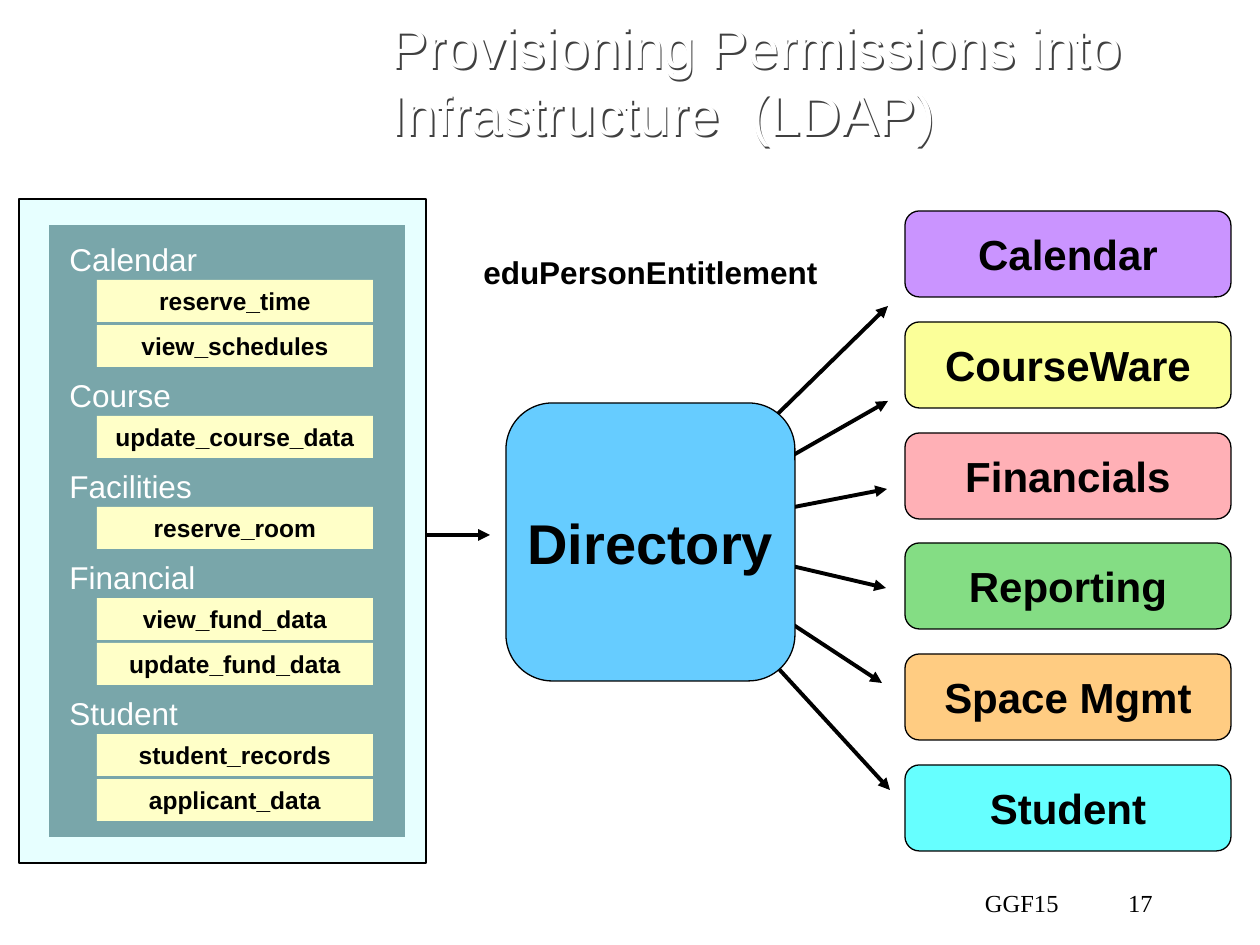
from lxml import etree
from pptx import Presentation
from pptx.dml.color import RGBColor
from pptx.enum.shapes import MSO_CONNECTOR, MSO_SHAPE
from pptx.enum.text import MSO_ANCHOR, PP_ALIGN
from pptx.oxml import parse_xml
from pptx.oxml.ns import nsdecls, qn
from pptx.util import Emu, Pt

RECT, ROUND = MSO_SHAPE.RECTANGLE, MSO_SHAPE.ROUNDED_RECTANGLE
STRAIGHT = MSO_CONNECTOR.STRAIGHT
LEFT, CENTER, RIGHT = PP_ALIGN.LEFT, PP_ALIGN.CENTER, PP_ALIGN.RIGHT
TOP, MIDDLE, BOTTOM = MSO_ANCHOR.TOP, MSO_ANCHOR.MIDDLE, MSO_ANCHOR.BOTTOM

BLACK = RGBColor(0x00, 0x00, 0x00)
WHITE = RGBColor(0xFF, 0xFF, 0xFF)
SHADOW_GREY = RGBColor(0x40, 0x40, 0x40)
PALE_CYAN = RGBColor(0xE7, 0xFF, 0xFF)
TEAL = RGBColor(0x79, 0xA6, 0xAA)
CREAM = RGBColor(0xFF, 0xFF, 0xC8)
BLUE = RGBColor(0x66, 0xCC, 0xFF)

PERMISSIONS = [
    ("Calendar", ["reserve_time", "view_schedules"]),
    ("Course", ["update_course_data"]),
    ("Facilities", ["reserve_room"]),
    ("Financial", ["view_fund_data", "update_fund_data"]),
    ("Student", ["student_records", "applicant_data"]),
]
APPLICATIONS = [
    ("Calendar", RGBColor(0xCA, 0x94, 0xFF)),
    ("CourseWare", RGBColor(0xFB, 0xFF, 0x99)),
    ("Financials", RGBColor(0xFF, 0xB0, 0xB6)),
    ("Reporting", RGBColor(0x84, 0xDD, 0x84)),
    ("Space Mgmt", RGBColor(0xFF, 0xCC, 0x82)),
    ("Student", RGBColor(0x66, 0xFF, 0xFF)),
]
ARROW_TIPS = [(888, 306), (888, 401), (887, 489), (886, 588), (882, 683), (890, 790)]


def px(length):
    return Emu(round(length * 914400 / 126))


def write(shape, text, size=14, color=BLACK, bold=False, font="Arial",
          align=LEFT, anchor=TOP, wrap=True):
    frame = shape.text_frame
    frame.word_wrap = wrap
    frame.vertical_anchor = anchor
    para = frame.paragraphs[0]
    para.alignment = align
    span = para.add_run()
    span.text = text
    span.font.name = font
    span.font.size = Pt(size)
    span.font.bold = bold
    span.font.color.rgb = color


def add_text(page, box, text, **style):
    shape = page.shapes.add_textbox(*map(px, box))
    write(shape, text, **style)
    return shape


def add_block(page, box, fill, kind=RECT, outlined=False):
    block = page.shapes.add_shape(kind, *map(px, box))
    block.shadow.inherit = False
    block.fill.solid()
    block.fill.fore_color.rgb = fill
    if outlined:
        block.line.color.rgb = BLACK
        block.line.width = Pt(0.75)
    else:
        block.line.fill.background()
    return block


def add_arrow(page, start, end):
    arrow = page.shapes.add_connector(STRAIGHT, *map(px, (*start, *end)))
    arrow.line.color.rgb = BLACK
    arrow.line.width = Pt(2.25)
    etree.SubElement(arrow.line._get_or_add_ln(), qn("a:tailEnd"), type="triangle")
    etree.SubElement(arrow._element.spPr, qn("a:effectLst"))


def add_title(page, box):
    title = add_text(page, box, "Provisioning Permissions into Infrastructure  (LDAP)",
                     size=32, color=WHITE, anchor=BOTTOM)
    # The unfilled box casts its shadow from the letters, so white reads on white
    title.fill.background()
    title._element.spPr.append(parse_xml(
        f'<a:effectLst {nsdecls("a")}><a:outerShdw dist="18000" dir="2700000" '
        f'algn="ctr" rotWithShape="0"><a:srgbClr val="{SHADOW_GREY}"/>'
        '</a:outerShdw></a:effectLst>'))


def add_permissions(page, box):
    left, top, width, height = box
    add_block(page, box, PALE_CYAN, outlined=True)
    add_block(page, (left + 30, top + 26, width - 51, height - 52), TEAL)
    row_top = top + 35
    for name, items in PERMISSIONS:
        add_text(page, (left + 38, row_top, 200, 50), name, size=18, color=WHITE)
        row_top += 46
        for item in items:
            block = add_block(page, (left + 78, row_top, 276, 42), CREAM)
            write(block, item, bold=True, align=CENTER)
            row_top += 45


def add_directory(page, box):
    left, top, width, height = box
    # Arrows fan out from the hub, which the directory block then covers
    for tip in ARROW_TIPS:
        add_arrow(page, (left + 149, top + 131), tip)
    block = add_block(page, box, BLUE, ROUND, outlined=True)
    write(block, "Directory", size=32, bold=True, align=CENTER, anchor=MIDDLE, wrap=False)
    add_text(page, (left - 45, top - 156, width + 90, 50), "eduPersonEntitlement",
             size=18, bold=True, align=CENTER)


def add_applications(page, box):
    left, top, width, height = box
    row_height = 86
    pitch = (height - row_height) / (len(APPLICATIONS) - 1)
    for row, (name, fill) in enumerate(APPLICATIONS):
        block = add_block(page, (left, top + round(row * pitch), width, row_height),
                          fill, ROUND, outlined=True)
        write(block, name, size=24, bold=True, align=CENTER, anchor=MIDDLE, wrap=False)


def add_footer(page, box):
    left, top, width, height = box
    number_width = 94
    split = width - number_width
    style = {"font": "Times New Roman", "align": RIGHT}
    add_text(page, (left, top, split, height), "GGF15", **style)
    add_text(page, (left + split, top, number_width, height), "17", **style)


def main():
    deck = Presentation()
    deck.slide_width, deck.slide_height = px(1260), px(945)
    page = deck.slides.add_slide(deck.slide_layouts[6])
    add_arrow(page, (408, 535), (490, 535))
    add_title(page, (378, 11, 779, 142))
    add_permissions(page, (19, 199, 407, 664))
    add_directory(page, (506, 403, 289, 278))
    add_applications(page, (905, 211, 326, 640))
    add_footer(page, (672, 882, 493, 42))
    deck.save("out.pptx")


if __name__ == "__main__":
    main()
